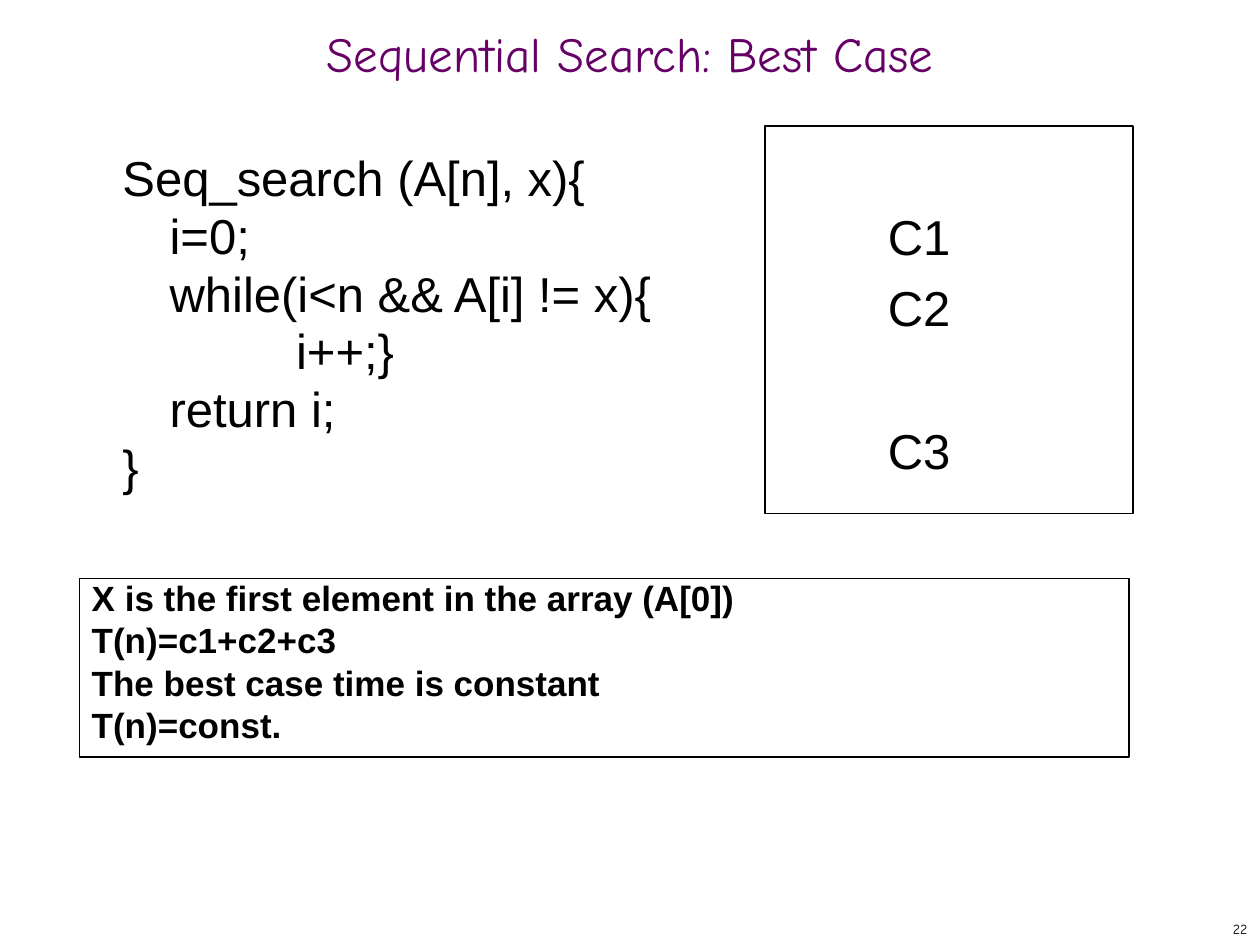
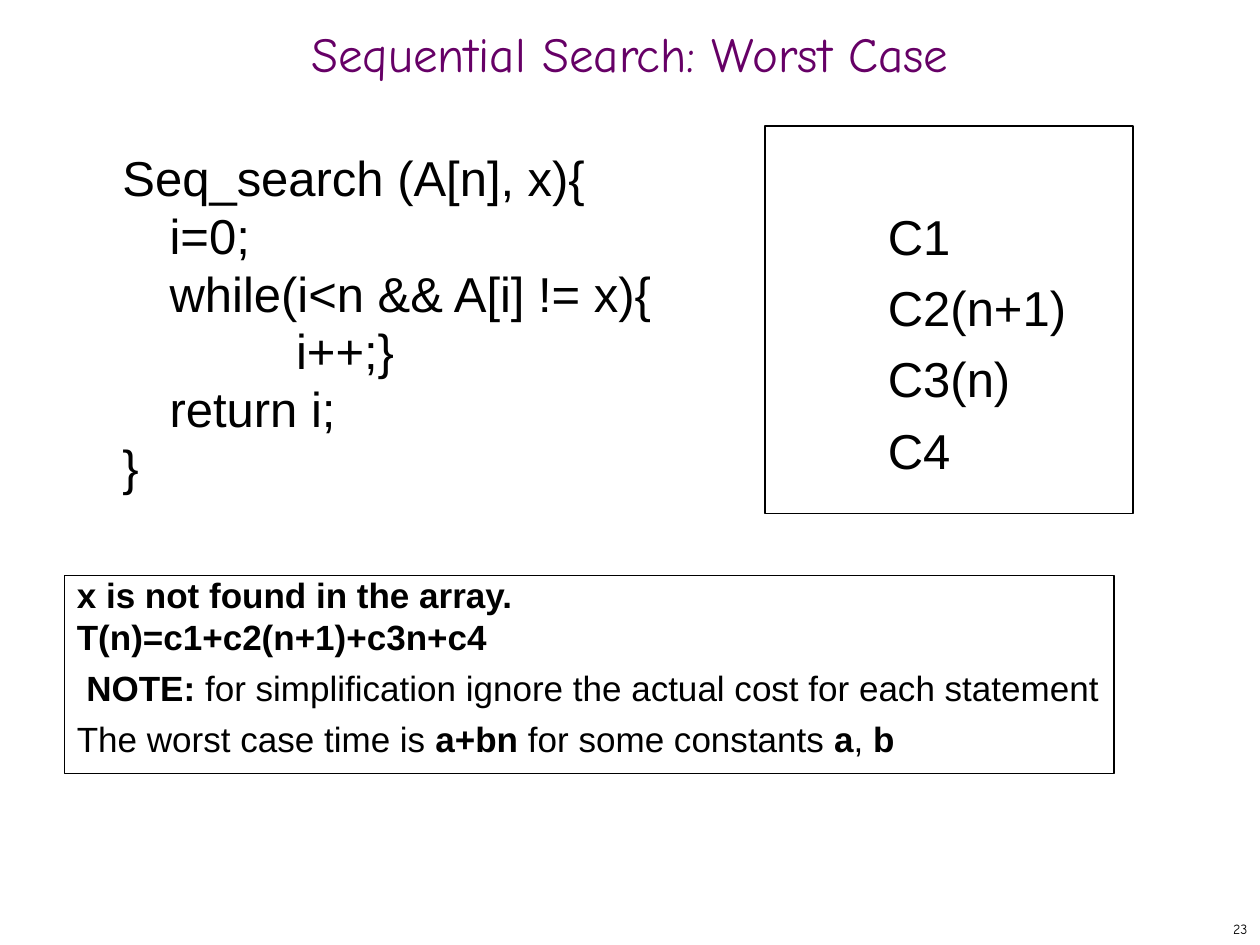
from dataclasses import dataclass

from pptx import Presentation
from pptx.dml.color import RGBColor
from pptx.enum.shapes import MSO_SHAPE
from pptx.enum.text import MSO_ANCHOR, PP_ALIGN
from pptx.util import Cm, Pt

RECT = MSO_SHAPE.RECTANGLE
TOP, MIDDLE = MSO_ANCHOR.TOP, MSO_ANCHOR.MIDDLE
LEFT, CENTER, RIGHT = PP_ALIGN.LEFT, PP_ALIGN.CENTER, PP_ALIGN.RIGHT


@dataclass(frozen=True)
class Theme:
    ink: RGBColor = RGBColor(0x00, 0x00, 0x00)
    plum: RGBColor = RGBColor(0x66, 0x00, 0x66)
    body: str = "Arial"
    head: str = "Comic Neue"
    large: float = 28
    note: float = 20
    small: float = 8


theme = Theme()

# Each code line with its indent in cm
CODE = [
    (0, "Seq_search (A[n], x){"),
    (0.95, "i=0;"),
    (0.95, "while(i<n && A[i] != x){"),
    (3.5, "i++;}"),
    (0.95, "return i;"),
    (0, "}"),
]
GAP, STEP = 7, 40.6  # points between costs, and for a free line

# Costs stand beside their code line; None leaves a line free.
# Asterisks in notes enclose bold words.
SLIDES = [
    dict(
        num=22,
        title="Sequential Search: Best Case",
        costs=["C1", "C2", None, "C3"],
        area=(1.6, 11.66, 21.16, 3.6),
        notes=[
            (0, "*X is the first element in the array (A[0])*"),
            (0, "*T(n)=c1+c2+c3*"),
            (0, "*The best case time is constant*"),
            (0, "*T(n)=const.*"),
        ],
    ),
    dict(
        num=23,
        title="Sequential Search: Worst Case",
        costs=["C1", "C2(n+1)", "C3(n)", "C4"],
        area=(1.3, 11.6, 21.16, 4),
        notes=[
            (0, "*x is not found in the array.*"),
            (0, "*T(n)=c1+c2(n+1)+c3n+c4*"),
            (0.19, "*NOTE:* for simplification ignore the actual cost for each statement"),
            (0, "The worst case time is *a+bn* for some constants *a*, *b*"),
        ],
    ),
]


def add_box(slide, left, top, width, height, framed=False, anchor=TOP):
    """Add a text box, or an outlined rectangle, and return its text frame."""
    area = Cm(left), Cm(top), Cm(width), Cm(height)
    if framed:
        box = slide.shapes.add_shape(RECT, *area)
        box.shadow.inherit = False
        box.fill.background()
        box.line.color.rgb = theme.ink
        box.line.width = Pt(0.75)
    else:
        box = slide.shapes.add_textbox(*area)
    frame = box.text_frame
    frame.word_wrap = True
    frame.vertical_anchor = anchor
    return frame


def add_line(frame, text, size, font=theme.body, color=theme.ink,
             align=LEFT, indent=0, before=0, pitch=None):
    """Fill the empty first paragraph or add one; asterisks enclose bold words."""
    first = frame.paragraphs[0]
    para = frame.add_paragraph() if first.runs else first
    para.alignment = align
    para.line_spacing = pitch
    if para is not first:
        para.space_before = Pt(before)
    if indent:
        para._p.get_or_add_pPr().set("marL", str(Cm(indent)))
    para.font.name, para.font.size = font, Pt(size)
    para.font.color.rgb = color
    parts = [(i % 2 == 1, part) for i, part in enumerate(text.split("*")) if part]
    for bold, part in parts:
        run = para.add_run()
        run.text = part
        if len(parts) > 1:
            run.font.bold = bold
    if len(parts) == 1:
        para.font.bold = parts[0][0]


deck = Presentation()
deck.slide_width, deck.slide_height = Cm(25.4), Cm(19.05)

for page in SLIDES:
    slide = deck.slides.add_slide(deck.slide_layouts[6])

    frame = add_box(slide, 20.12, 18.41, 5.28, 0.64, anchor=MIDDLE)
    add_line(frame, str(page["num"]), theme.small, theme.head, align=RIGHT)

    frame = add_box(slide, 0, 0.58, 25.4, 1.27, anchor=MIDDLE)
    add_line(frame, page["title"], theme.large, theme.head, theme.plum, CENTER, pitch=0.7)

    frame = add_box(slide, 2.22, 3.12, 23.18, 7.82)
    for indent, text in CODE:
        add_line(frame, text, theme.large, indent=indent, before=7, pitch=Pt(26))

    frame = add_box(slide, 15.42, 2.54, 7.42, 7.82, framed=True)
    frame.margin_top = Cm(1.63)
    before = GAP
    for cost in page["costs"]:
        if cost is None:
            before += STEP
            continue
        add_line(frame, cost, theme.large, indent=2.23, before=before)
        before = GAP

    frame = add_box(slide, *page["area"], framed=True)
    for indent, text in page["notes"]:
        whole = text.count("*") == 2 and text.endswith("*")
        add_line(frame, text, theme.note, indent=indent, before=5,
                 pitch=0.8 if whole else None)

deck.save("out.pptx")
